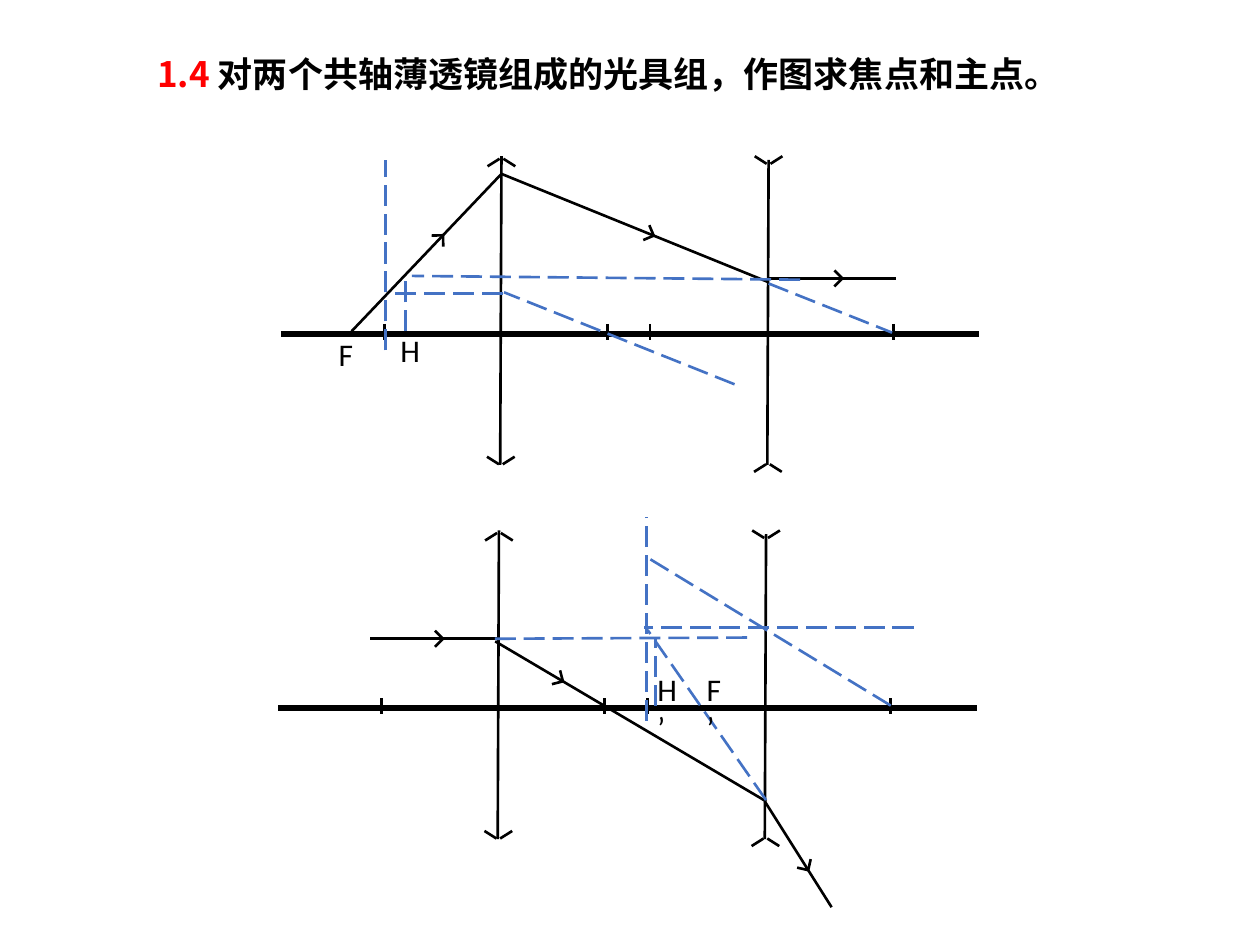
import math

from lxml import etree
from pptx import Presentation
from pptx.dml.color import RGBColor
from pptx.enum import dml, shapes, text
from pptx.oxml import ns
from pptx.util import Inches, Pt

BLACK, BLUE, RED = "000000", "4472C4", "FF0000"
CJK = "Noto Sans CJK SC"


def rgb(value):
    return RGBColor.from_string(value)


def add_line(parent, x1, y1, x2, y2, color=BLACK, width=1.5, dashed=False):
    line = parent.shapes.add_connector(
        shapes.MSO_CONNECTOR.STRAIGHT, Inches(x1), Inches(y1), Inches(x2), Inches(y2))
    line.line.color.rgb = rgb(color)
    line.line.width = Pt(width)
    if dashed:
        line.line.dash_style = dml.MSO_LINE.LONG_DASH
    etree.SubElement(line._element.spPr, ns.qn("a:effectLst"))


def add_construction(s, lines):
    for ends in lines:
        add_line(s, *ends, color=BLUE, dashed=True)


def add_lens_tip(s, x, y, dy):
    """Draw two wings that rise or fall by dy from the end of a lens."""
    group = s.shapes.add_group_shape()
    for side in (-1, 1):
        add_line(group, x + 0.015 * side, y, x + 0.11 * side, y + dy)


def add_lens(s, x, top, bottom, wing):
    """Draw a thin lens; a positive wing makes it converging."""
    add_line(s, x, top, x - 0.01, bottom)
    add_lens_tip(s, x, top + (0.02 if wing > 0 else 0.03), wing)
    add_lens_tip(s, x - 0.005, bottom - 0.005, -wing)


def add_ray(s, x1, y1, x2, y2, head_at):
    """Draw a ray with an open arrowhead at a fraction of its length."""
    add_line(s, x1, y1, x2, y2)
    x, y = x1 + (x2 - x1) * head_at, y1 + (y2 - y1) * head_at
    angle = math.atan2(y2 - y1, x2 - x1)
    group = s.shapes.add_group_shape()
    for turn in (-1, 1):
        wing = angle + math.pi + turn * math.pi / 4
        add_line(group, x, y, x + 0.09 * math.cos(wing), y + 0.09 * math.sin(wing))


def add_text(s, x, y, w, h, runs, size, font, bold=False):
    sp = s.shapes.add_textbox(Inches(x), Inches(y), Inches(w), Inches(h))
    tf = sp.text_frame
    tf.word_wrap = True
    tf.auto_size = text.MSO_AUTO_SIZE.SHAPE_TO_FIT_TEXT
    p = tf.paragraphs[0]
    p.font.size = Pt(size)
    p.font.name = font
    p.font.bold = bold
    for content, color in runs:
        r = p.add_run()
        r.text = content
        r.font.name = font
        r.font.color.rgb = rgb(color)
        etree.SubElement(r._r.get_or_add_rPr(), ns.qn("a:ea"), typeface=CJK)


def add_label(s, x, y, w, content):
    add_text(s, x, y, w, 0.4, [(content, BLACK)], 18, "Calibri")


def add_optics(s, dx, dy):
    """Draw the axis, both lenses and the focus marks, moved by dx and dy."""
    add_line(s, 2.23 + dx, 2.65 + dy, 7.77 + dx, 2.65 + dy, width=3)
    add_lens(s, 3.98 + dx, 1.24 + dy, 3.69 + dy, 0.06)
    add_lens(s, 6.1 + dx, 1.27 + dy, 3.69 + dy, -0.06)
    for x in (3.05, 4.82, 5.16, 7.09):
        add_line(s, x + dx, 2.57 + dy, x + dx, 2.7 + dy)


def add_object_side(s):
    add_optics(s, 0, 0)
    add_label(s, 2.59, 2.61, 0.36, "F")
    add_label(s, 3.08, 2.58, 0.55, "H")
    add_ray(s, 2.79, 2.63, 3.98, 1.38, 0.61)
    add_ray(s, 3.98, 1.38, 6.1, 2.24, 0.57)
    add_ray(s, 6.1, 2.21, 7.11, 2.21, 0.58)
    add_construction(s, [
        (6.1, 2.25, 7.08, 2.64),
        (5.83, 3.05, 4, 2.32),
        (3.99, 2.33, 3.08, 2.33),
        (3.06, 2.78, 3.06, 1.27),
        (6.35, 2.22, 3.27, 2.19),
        (3.22, 2.63, 3.22, 2.21),
    ])


def add_image_side(s):
    add_optics(s, -0.02, 2.97)
    add_ray(s, 2.94, 5.07, 3.95, 5.07, 0.57)
    add_ray(s, 3.93, 5.09, 6.08, 6.36, 0.25)
    add_ray(s, 6.07, 6.36, 6.6, 7.2, 0.65)
    add_construction(s, [
        (7.07, 5.6, 5.13, 4.42),
        (7.25, 4.98, 5.11, 4.98),
        (5.13, 5.72, 5.13, 4.1),
        (6.08, 6.35, 5.14, 5),
        (5.93, 5.06, 3.89, 5.07),
        (5.2, 5.6, 5.2, 5.07),
    ])
    add_label(s, 5.51, 5.27, 0.35, "F’")
    add_label(s, 5.12, 5.27, 0.4, "H’")


def main():
    prs = Presentation()
    prs.slide_width, prs.slide_height = Inches(10), Inches(7.5)
    s = prs.slides.add_slide(prs.slide_layouts[6])
    title = [("1.4 ", RED), ("对两个共轴薄透镜组成的光具组，作图求焦点和主点。", BLACK)]
    add_text(s, 1.15, 0.37, 8, 0.44, title, 20, CJK, bold=True)
    add_object_side(s)
    add_image_side(s)
    prs.save("out.pptx")


if __name__ == "__main__":
    main()
